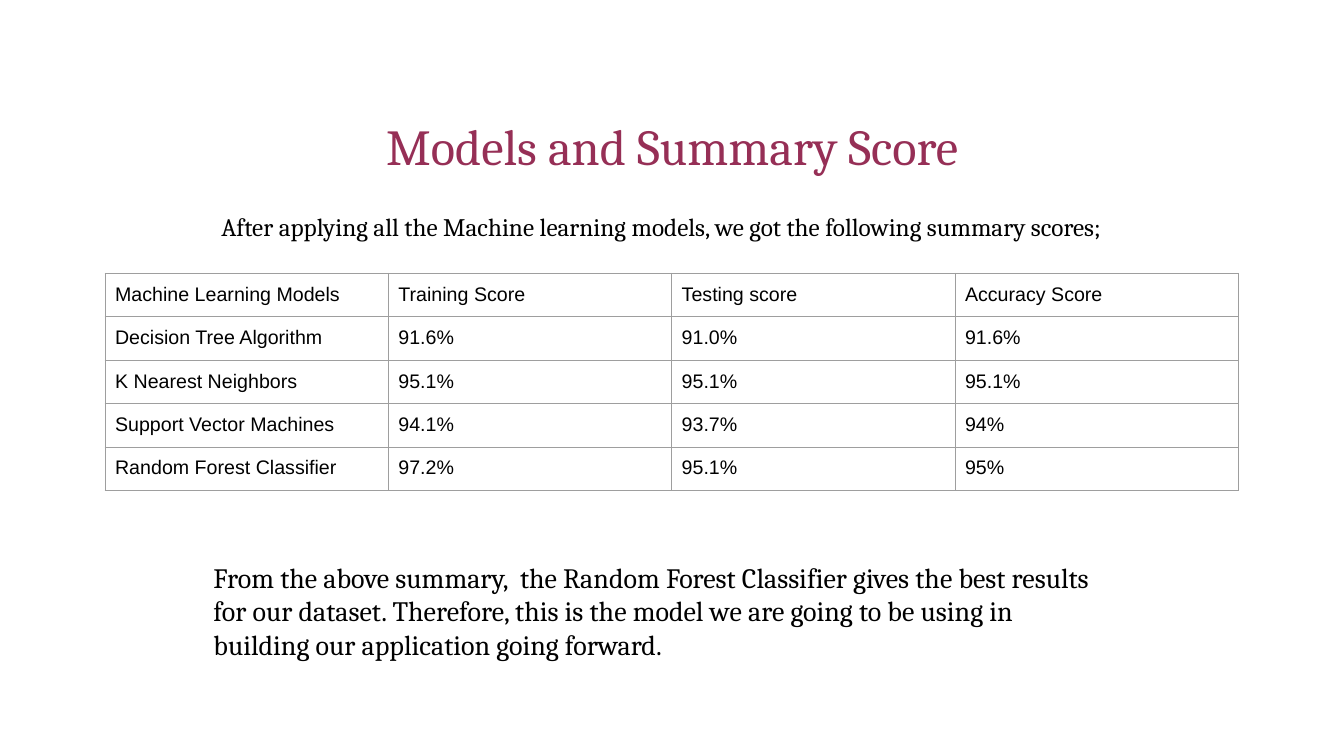
from dataclasses import dataclass

from lxml import etree
from pptx import Presentation
from pptx import util as u
from pptx.dml.color import RGBColor
from pptx.enum import text
from pptx.oxml import ns


@dataclass
class Theme:
    accent: str = "962F56"
    ink: str = "000000"
    grid: str = "9E9E9E"
    serif: str = "Cambria"
    sans: str = "Arial"
    head: int = 36
    lead: int = 18
    close: int = 20
    cell: int = 14
    rule: float = 0.75


def write(frame, words, size, font, color, align=text.PP_ALIGN.LEFT,
          anchor=text.MSO_ANCHOR.TOP, pad=0.25, line=None):
    frame.word_wrap = True
    frame.vertical_anchor = anchor
    frame.margin_left = frame.margin_right = u.Cm(0.25)
    frame.margin_top = frame.margin_bottom = u.Cm(pad)
    para = frame.paragraphs[0]
    para.alignment = align
    para.line_spacing = line
    run = para.add_run()
    run.text = words
    run.font.size = u.Pt(size)
    run.font.name = font
    run.font.color.rgb = RGBColor.from_string(color)


class Page:
    def __init__(self, deck, theme):
        self.theme = theme
        self.slide = deck.slides.add_slide(deck.slide_layouts[5])

    def title(self, words, *box):
        shape = self.slide.shapes.title
        shape.left, shape.top, shape.width, shape.height = map(u.Cm, box)
        write(shape.text_frame, words, self.theme.head, self.theme.serif,
              self.theme.accent, text.PP_ALIGN.CENTER,
              text.MSO_ANCHOR.BOTTOM, pad=0.13, line=0.9)

    def note(self, words, *box, size, align=text.PP_ALIGN.LEFT):
        shape = self.slide.shapes.add_textbox(*map(u.Cm, box))
        write(shape.text_frame, words, size, self.theme.serif,
              self.theme.ink, align)

    def table(self, rows, left, top, wide, high):
        """Draw rows as a plain grid; wide and high are for one cell."""
        count = len(rows[0])
        grid = self.slide.shapes.add_table(
            len(rows), count, u.Cm(left), u.Cm(top),
            u.Cm(wide * count), u.Cm(high * len(rows))).table
        grid.first_row = grid.horz_banding = False
        for y, row in enumerate(rows):
            for x, words in enumerate(row):
                cell = grid.cell(y, x)
                self.border(cell)
                cell.fill.background()
                cell.margin_left = cell.margin_right = u.Cm(0.25)
                cell.margin_top = cell.margin_bottom = u.Cm(0.25)
                run = cell.text_frame.paragraphs[0].add_run()
                run.text = words
                run.font.size = u.Pt(self.theme.cell)
                run.font.name = self.theme.sans
                run.font.color.rgb = RGBColor.from_string(self.theme.ink)

    def border(self, cell):
        props = cell._tc.get_or_add_tcPr()
        for side in "LRTB":
            line = etree.SubElement(props, ns.qn(f"a:ln{side}"),
                                    w=str(u.Pt(self.theme.rule)))
            fill = etree.SubElement(line, ns.qn("a:solidFill"))
            etree.SubElement(fill, ns.qn("a:srgbClr"), val=self.theme.grid)


SCORES = [
    ("Machine Learning Models", "Training Score", "Testing score",
     "Accuracy Score"),
    ("Decision Tree Algorithm", "91.6%", "91.0%", "91.6%"),
    ("K Nearest Neighbors", "95.1%", "95.1%", "95.1%"),
    ("Support Vector Machines", "94.1%", "93.7%", "94%"),
    ("Random Forest Classifier", "97.2%", "95.1%", "95%"),
]


def main():
    deck = Presentation()
    deck.slide_width, deck.slide_height = u.Cm(33.87), u.Cm(19.05)
    theme = Theme()
    page = Page(deck, theme)
    page.title("Models and Summary Score", 2.97, 1.27, 27.94, 3.3)
    page.note("After applying all the Machine learning models, "
              "we got the following summary scores;",
              3.66, 5.08, 26.01, 1.27, size=theme.lead,
              align=text.PP_ALIGN.CENTER)
    page.table(SCORES, 2.65, 6.89, wide=7.14, high=1.07)
    page.note("From the above summary,  the Random Forest Classifier gives "
              "the best results for our dataset. Therefore, this is the "
              "model we are going to be using in building our application "
              "going forward.",
              5.13, 13.87, 23.09, 3.07, size=theme.close)
    deck.save("out.pptx")


if __name__ == "__main__":
    main()
